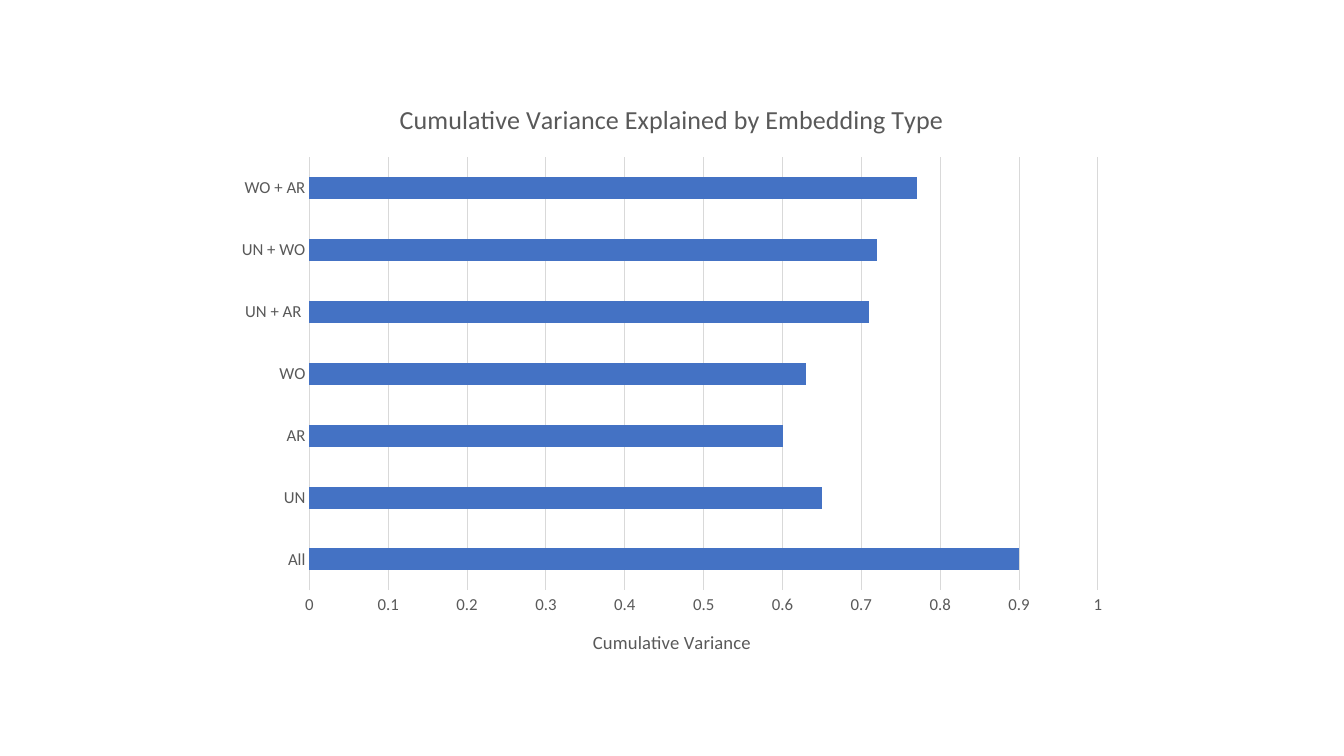
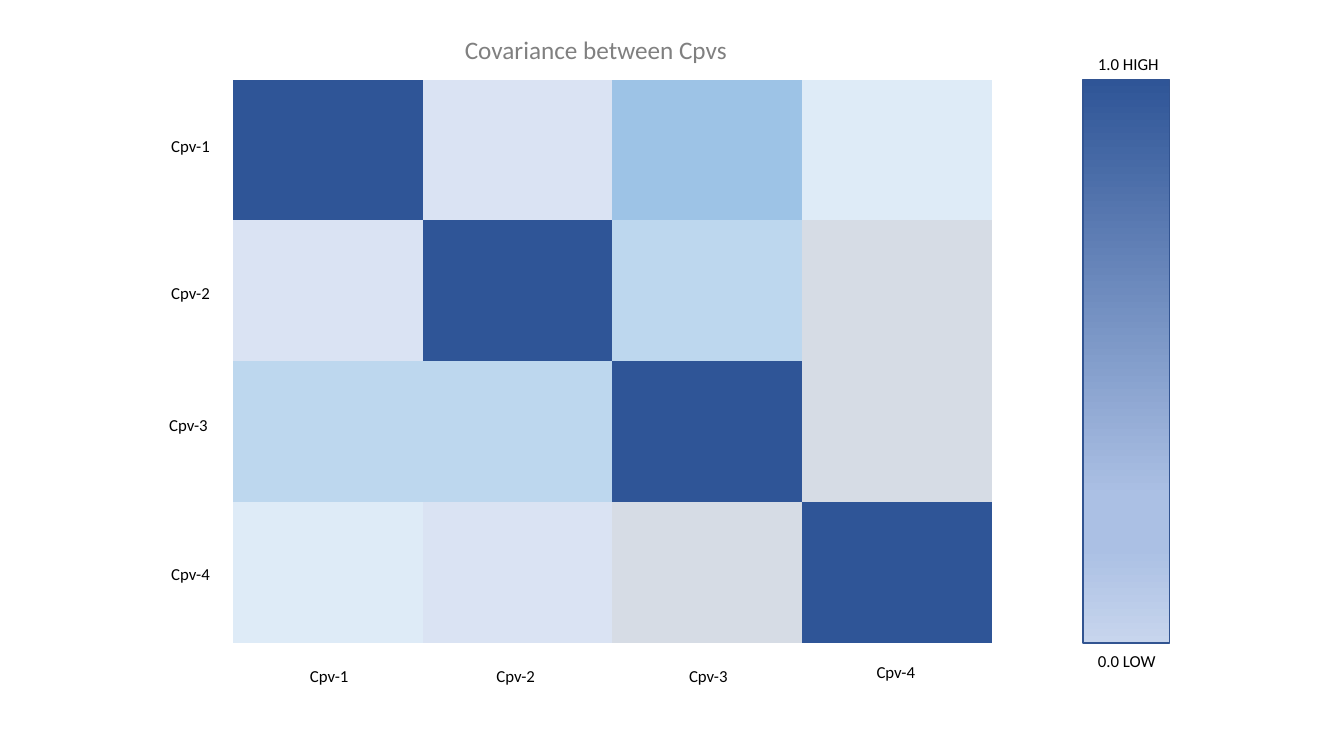
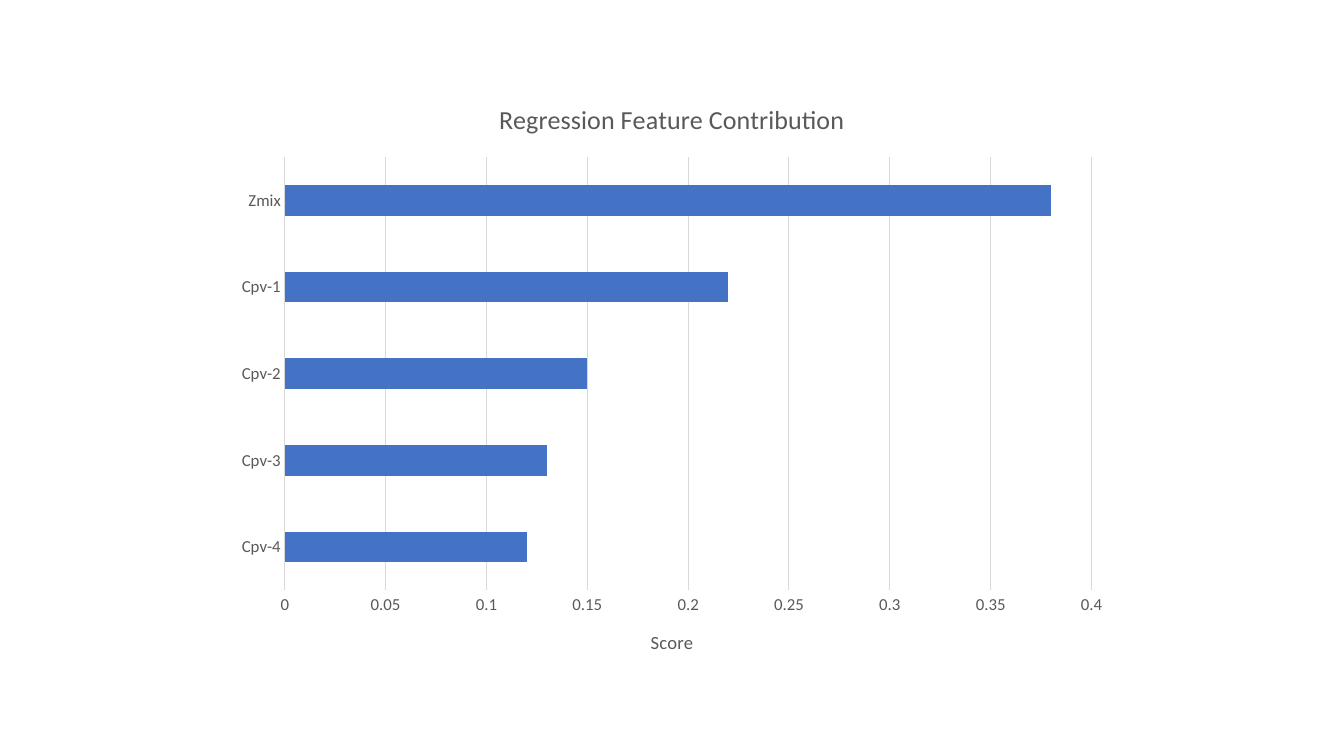
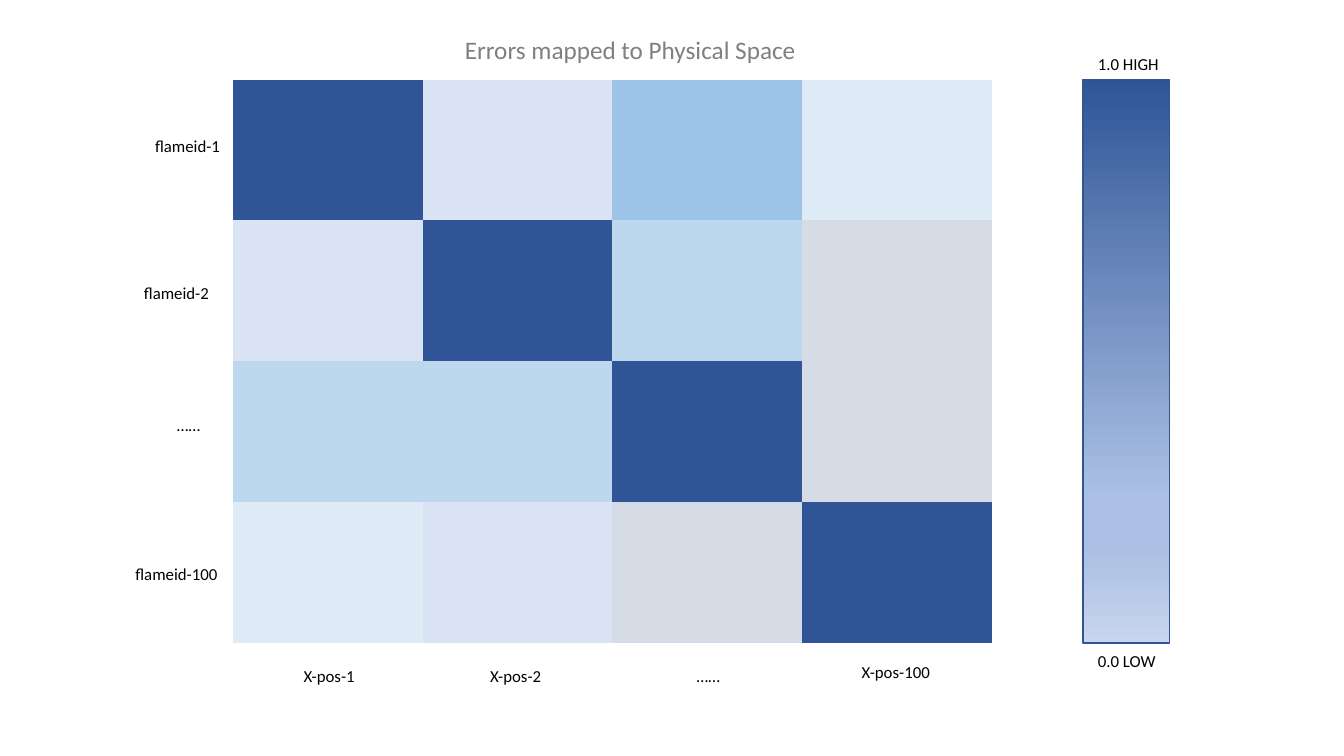
from lxml import etree
from pptx import Presentation
from pptx import util as u
from pptx.chart.data import CategoryChartData
from pptx.dml.color import RGBColor
from pptx.enum import chart as charts, shapes, text
from pptx.oxml.ns import qn

# Shared style
FONT = "Calibri"
BLACK = RGBColor(0x00, 0x00, 0x00)
TITLE_GREY = RGBColor(0x80, 0x80, 0x80)
CHART_GREY = RGBColor(0x59, 0x59, 0x59)
GRID_GREY = RGBColor(0xD9, 0xD9, 0xD9)
BAR_BLUE = RGBColor(0x44, 0x72, 0xC4)
SCALE_EDGE = RGBColor(0x32, 0x54, 0x91)
HEAT = {
    "D": RGBColor(0x2F, 0x55, 0x97),
    "B": RGBColor(0x9D, 0xC3, 0xE6),
    "M": RGBColor(0xBD, 0xD7, 0xEE),
    "P": RGBColor(0xDA, 0xE3, 0xF3),
    "L": RGBColor(0xDE, 0xEB, 0xF7),
    "G": RGBColor(0xD6, 0xDC, 0xE5),
}
SCALE_STOPS = [
    (0, HEAT["D"]),
    (74, RGBColor(0xAB, 0xC0, 0xE4)),
    (83, RGBColor(0xAB, 0xC0, 0xE4)),
    (100, RGBColor(0xC7, 0xD5, 0xED)),
]
NO_GRID_STYLE = "{2D5ABB26-0587-4C30-8999-92F81FD0307C}"

# Content
VARIANCE = {
    "title": "Cumulative Variance Explained by Embedding Type",
    "axis": "Cumulative Variance", "top": 1, "step": 0.1,
    "bars": [("All", 0.9), ("UN", 0.65), ("AR", 0.6), ("WO", 0.63),
             ("UN + AR ", 0.71), ("UN + WO", 0.72), ("WO + AR", 0.77)],
}
CONTRIBUTION = {
    "title": "Regression Feature Contribution",
    "axis": "Score", "top": 0.4, "step": 0.05,
    "bars": [("Cpv-4", 0.12), ("Cpv-3", 0.13), ("Cpv-2", 0.15),
             ("Cpv-1", 0.22), ("Zmix", 0.38)],
}
# Row labels carry the x of their centre
COVARIANCE = {
    "title": "Covariance between Cpvs", "title_width": 2.83,
    "columns": ["Cpv-1", "Cpv-2", "Cpv-3", "Cpv-4"],
    "rows": [("Cpv-1", 1.89), ("Cpv-2", 1.89), ("Cpv-3", 1.87), ("Cpv-4", 1.89)],
}
ERRORS = {
    "title": "Errors mapped to Physical Space", "title_width": 3.52,
    "columns": ["X-pos-1", "X-pos-2", "……", "X-pos-100"],
    "rows": [("flameid-1", 1.86), ("flameid-2", 1.75), ("……", 1.87), ("flameid-100", 1.75)],
}
HEATMAP = ["DPBL", "PDMG", "MMDG", "LPGD"]

# Layout, in inches
MAP_LEFT, MAP_TOP, MAP_WIDTH, MAP_HEIGHT = 2.31, 0.79, 7.53, 5.59
COLUMN_LABELS_AT = [(2.31, 6.56), (4.16, 6.56), (6.07, 6.56), (7.93, 6.52)]
ROW_LABEL_TOPS = [1.3, 2.76, 4.07, 5.54]
COLUMN_LABEL_WIDTH, ROW_LABEL_WIDTH, LABEL_HEIGHT = 1.91, 1.14, 0.3
SCALE_LEFT, SCALE_WIDTH = 10.74, 0.86
SCALE_LABELS = [("0.0 LOW", 6.41, 0.78), ("1.0 HIGH", 0.48, 0.81)]


def inches(*lengths):
    return [u.Inches(length) for length in lengths]


def style(font, size, color):
    font.name, font.size, font.bold = FONT, u.Pt(size), False
    font.color.rgb = color


def add_label(slide, wording, left, top, width, centred=True):
    frame = slide.shapes.add_textbox(*inches(left, top, width, LABEL_HEIGHT)).text_frame
    frame.word_wrap = centred
    frame.auto_size = text.MSO_AUTO_SIZE.SHAPE_TO_FIT_TEXT
    frame.text = wording
    line = frame.paragraphs[0]
    if centred:
        line.alignment = text.PP_ALIGN.CENTER
    style(line.runs[0].font, 12, BLACK)


def title_chart_part(part, wording, size):
    part.text_frame.text = wording
    style(part.text_frame.paragraphs[0].runs[0].font, size, CHART_GREY)


def add_bar_slide(deck, content):
    slide = deck.slides.add_slide(deck.slide_layouts[6])
    data = CategoryChartData()
    names, values = zip(*content["bars"])
    data.categories = names
    data.add_series("Series 1", values)
    chart = slide.shapes.add_chart(
        charts.XL_CHART_TYPE.BAR_CLUSTERED, *inches(2.22, 0.79, 8.89, 5.93), data).chart
    chart.has_legend = False
    style(chart.font, 10, BLACK)
    title_chart_part(chart.chart_title, content["title"], 18.6)
    chart.chart_title.include_in_layout = False

    plot = chart.plots[0]
    plot.gap_width, plot.vary_by_categories = 182, False
    fill = plot.series[0].format.fill
    fill.solid()
    fill.fore_color.rgb = BAR_BLUE

    for axis in (chart.category_axis, chart.value_axis):
        axis.major_tick_mark = axis.minor_tick_mark = charts.XL_TICK_MARK.NONE
        style(axis.tick_labels.font, 12, CHART_GREY)
    scores = chart.value_axis
    scores.minimum_scale, scores.maximum_scale = 0, content["top"]
    scores.major_unit = content["step"]
    scores.has_major_gridlines = True
    scores.format.line.fill.background()
    title_chart_part(scores.axis_title, content["axis"], 13.3)
    for line in (chart.category_axis.format.line, scores.major_gridlines.format.line):
        line.color.rgb, line.width = GRID_GREY, u.Pt(0.75)


def add_heat_table(slide):
    size = len(HEATMAP)
    table = slide.shapes.add_table(
        size, size, *inches(MAP_LEFT, MAP_TOP, MAP_WIDTH, MAP_HEIGHT)).table
    table.first_row = table.horz_banding = False
    table._tbl.tblPr.find(qn("a:tableStyleId")).text = NO_GRID_STYLE
    for r, shades in enumerate(HEATMAP):
        for c, shade in enumerate(shades):
            fill = table.cell(r, c).fill
            fill.solid()
            fill.fore_color.rgb = HEAT[shade]


def add_colour_scale(slide):
    scale = slide.shapes.add_shape(
        shapes.MSO_SHAPE.RECTANGLE, *inches(SCALE_LEFT, MAP_TOP, SCALE_WIDTH, MAP_HEIGHT))
    scale.shadow.inherit = False
    scale.line.color.rgb, scale.line.width = SCALE_EDGE, u.Pt(1)
    scale.fill.gradient()
    scale.fill.gradient_angle = 270
    # Four stops need direct XML
    stops = scale._element.spPr.find(".//" + qn("a:gsLst"))
    for stop in list(stops):
        stops.remove(stop)
    for share, color in SCALE_STOPS:
        stop = etree.SubElement(stops, qn("a:gs"), pos=str(share * 1000))
        etree.SubElement(stop, qn("a:srgbClr"), val=str(color))
    for wording, top, width in SCALE_LABELS:
        add_label(slide, wording, 10.79, top, width, centred=False)


def add_heatmap_slide(deck, content):
    slide = deck.slides.add_slide(deck.slide_layouts[5])
    title = slide.shapes.title
    title.left, title.top, title.width, title.height = inches(
        4.51, 0.29, content["title_width"], 0.4)
    frame = title.text_frame
    frame.text = content["title"]
    frame.word_wrap, frame.auto_size = False, text.MSO_AUTO_SIZE.NONE
    frame.paragraphs[0].alignment = text.PP_ALIGN.LEFT
    style(frame.paragraphs[0].runs[0].font, 18, TITLE_GREY)

    add_heat_table(slide)
    add_colour_scale(slide)
    for wording, (left, top) in zip(content["columns"], COLUMN_LABELS_AT):
        add_label(slide, wording, left, top, COLUMN_LABEL_WIDTH)
    for (wording, centre), top in zip(content["rows"], ROW_LABEL_TOPS):
        add_label(slide, wording, centre - ROW_LABEL_WIDTH / 2, top, ROW_LABEL_WIDTH)


def main():
    deck = Presentation()
    deck.slide_width, deck.slide_height = inches(13.33, 7.5)
    add_bar_slide(deck, VARIANCE)
    add_heatmap_slide(deck, COVARIANCE)
    add_bar_slide(deck, CONTRIBUTION)
    add_heatmap_slide(deck, ERRORS)
    deck.save("out.pptx")


if __name__ == "__main__":
    main()
